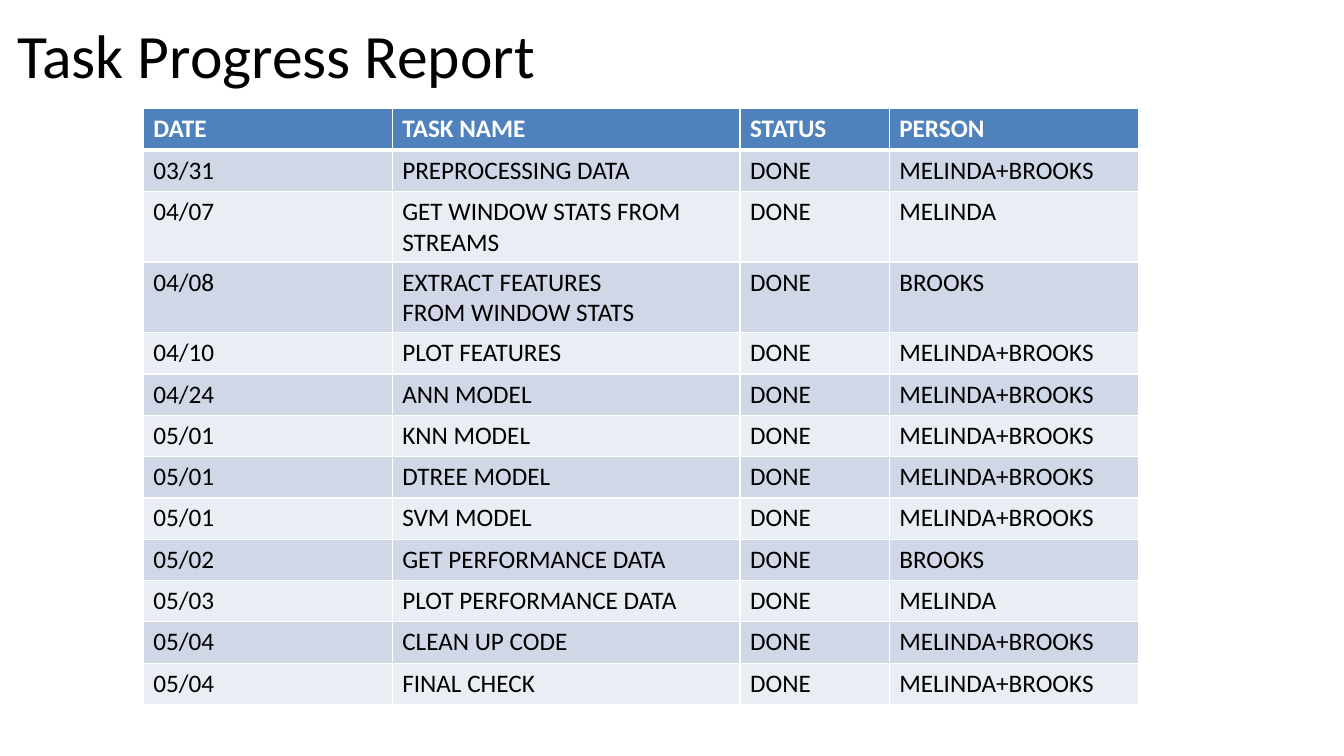
from dataclasses import dataclass

from lxml import etree
from pptx import Presentation
from pptx.dml.color import RGBColor
from pptx.enum.text import MSO_AUTO_SIZE
from pptx.oxml.ns import qn
from pptx.util import Inches, Pt

FIT_SHAPE = MSO_AUTO_SIZE.SHAPE_TO_FIT_TEXT


@dataclass(frozen=True)
class Theme:
    font: str = "Calibri"
    title_size: int = 44
    table_size: int = 18
    text: str = "000000"
    header_text: str = "FFFFFF"
    header_fill: str = "4F81BD"
    bands: tuple = ("D0D8E8", "E9EDF4")
    border: str = "FFFFFF"
    thin: int = 1
    thick: int = 3


THEME = Theme()

COLUMN_WIDTHS = (2.47, 3.45, 1.48, 2.47)
ROW_HEIGHT = 0.41
HEADER = ("DATE", "TASK NAME", "STATUS", "PERSON")
BOTH = "MELINDA+BROOKS"
TASKS = (
    ("03/31", "PREPROCESSING DATA", BOTH),
    ("04/07", "GET WINDOW STATS FROM STREAMS", "MELINDA"),
    ("04/08", "EXTRACT FEATURES\nFROM WINDOW STATS", "BROOKS"),
    ("04/10", "PLOT FEATURES", BOTH),
    ("04/24", "ANN MODEL", BOTH),
    ("05/01", "KNN MODEL", BOTH),
    ("05/01", "DTREE MODEL", BOTH),
    ("05/01", "SVM MODEL", BOTH),
    ("05/02", "GET PERFORMANCE DATA", "BROOKS"),
    ("05/03", "PLOT PERFORMANCE DATA", "MELINDA"),
    ("05/04", "CLEAN UP CODE", BOTH),
    ("05/04", "FINAL CHECK", BOTH),
)


def write_text(frame, text, size, color, bold=False):
    frame.text = text
    for paragraph in frame.paragraphs:
        font = paragraph.font
        font.name = THEME.font
        font.size = Pt(size)
        font.bold = bold
        font.color.rgb = RGBColor.from_string(color)


def add_title(slide, text, left, top, width, height):
    title = slide.shapes.add_textbox(
        Inches(left), Inches(top), Inches(width), Inches(height))
    frame = title.text_frame
    frame.margin_left = frame.margin_right = 0
    frame.margin_top = frame.margin_bottom = 0
    frame.word_wrap = True
    frame.auto_size = FIT_SHAPE
    write_text(frame, text, THEME.title_size, THEME.text)


def set_borders(cell, top, bottom):
    properties = cell._tc.get_or_add_tcPr()
    widths = {"L": THEME.thin, "R": THEME.thin, "T": top, "B": bottom}
    for side, width in widths.items():
        line = etree.SubElement(properties, qn(f"a:ln{side}"), w=str(Pt(width)))
        fill = etree.SubElement(line, qn("a:solidFill"))
        etree.SubElement(fill, qn("a:srgbClr"), val=THEME.border)


def style_cell(cell, row, text):
    is_header = row == 0
    # The thick rule lies between the header and the first task
    set_borders(cell,
                top=THEME.thick if row == 1 else THEME.thin,
                bottom=THEME.thick if is_header else THEME.thin)
    cell.fill.solid()
    fill = THEME.header_fill if is_header else THEME.bands[(row - 1) % 2]
    cell.fill.fore_color.rgb = RGBColor.from_string(fill)
    color = THEME.header_text if is_header else THEME.text
    write_text(cell.text_frame, text, THEME.table_size, color, is_header)


def add_task_table(slide, rows, left, top):
    table = slide.shapes.add_table(
        len(rows), len(COLUMN_WIDTHS), Inches(left), Inches(top),
        Inches(sum(COLUMN_WIDTHS)), Inches(ROW_HEIGHT * len(rows))).table
    for column, width in zip(table.columns, COLUMN_WIDTHS):
        column.width = Inches(width)
    for row, texts in enumerate(rows):
        table.rows[row].height = Inches(ROW_HEIGHT)
        for column, text in enumerate(texts):
            style_cell(table.cell(row, column), row, text)


def main():
    presentation = Presentation()
    presentation.slide_width = Inches(13.33)
    presentation.slide_height = Inches(7.5)
    slide = presentation.slides.add_slide(presentation.slide_layouts[6])

    # Heading
    add_title(slide, "Task Progress Report", 0.17, 0.17, 8.94, 0.76)

    # Task list, every task being done
    rows = [HEADER] + [(date, task, "DONE", person)
                       for date, task, person in TASKS]
    add_task_table(slide, rows, 1.42, 1.08)

    presentation.save("out.pptx")


if __name__ == "__main__":
    main()
